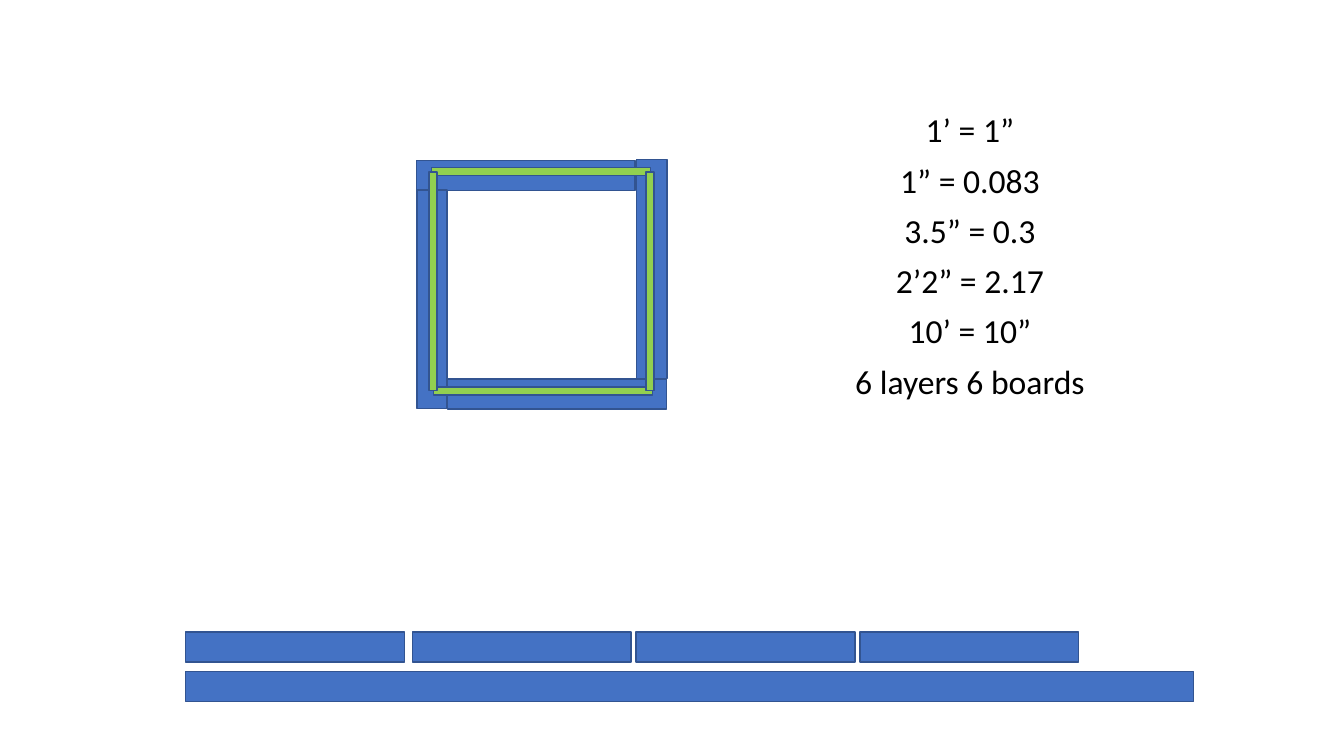
from pptx import Presentation
from pptx.dml.color import RGBColor
from pptx.enum.shapes import MSO_SHAPE
from pptx.enum.text import PP_ALIGN
from pptx.util import Inches, Pt

RECTANGLE = MSO_SHAPE.RECTANGLE
CENTER = PP_ALIGN.CENTER
COLORS = {"board": "4472C4", "strip": "92D050", "edge": "325491", "text": "000000"}

# Drawing scale: one foot of timber is one inch on the slide
CUT_LENGTH = 2.17
FULL_LENGTH = 10
THICKNESS = {"board": 0.3, "strip": 0.08}
STOCK_LEFT, CUT_TOP, FULL_TOP = 1.84, 6.27, 6.66

prs = Presentation()
prs.slide_width, prs.slide_height = Inches(13.33), Inches(7.5)
slide = prs.slides.add_slide(prs.slide_layouts[6])


def add_timber(kind, left, top, length=CUT_LENGTH, rotation=0):
    timber = slide.shapes.add_shape(
        RECTANGLE, Inches(left), Inches(top), Inches(length), Inches(THICKNESS[kind]))
    timber.rotation = rotation
    timber.shadow.inherit = False
    timber.fill.solid()
    timber.fill.fore_color.rgb = RGBColor.from_string(COLORS[kind])
    timber.line.color.rgb = RGBColor.from_string(COLORS["edge"])
    timber.line.width = Pt(1)


# Conversion notes
notes = slide.shapes.add_textbox(Inches(7.89), Inches(1.08), Inches(3.46), Inches(3.19)).text_frame
notes.word_wrap = True
notes.text = "\n".join(
    ["1’ = 1”", "1” = 0.083", "3.5” = 0.3", "2’2” = 2.17", "10’ = 10”", "6 layers 6 boards"])
note_format = {"alignment": CENTER, "line_spacing": 0.9, "space_before": Pt(10)}
font_format = {"name": "Calibri", "size": Pt(24)}
for note in notes.paragraphs:
    for attribute, value in note_format.items():
        setattr(note, attribute, value)
    for attribute, value in font_format.items():
        setattr(note.font, attribute, value)
    note.font.color.rgb = RGBColor.from_string(COLORS["text"])
notes.paragraphs[0].space_before = Pt(0)

# Square frame: boards first, then the strips on top of them
frame = [
    ("board", 4.13, 1.59, 0),
    ("board", 4.44, 3.76, 0),
    ("board", 3.2, 2.82, 90),
    ("board", 5.38, 2.52, 90),
    ("strip", 4.28, 1.66, 0),
    ("strip", 4.3, 3.84, 0),
    ("strip", 5.36, 2.75, 90),
    ("strip", 3.21, 2.75, 90),
]
for kind, left, top, rotation in frame:
    add_timber(kind, left, top, rotation=rotation)

# Full board and the four lengths cut from it
add_timber("board", STOCK_LEFT, FULL_TOP, FULL_LENGTH)
for cut_left in (STOCK_LEFT, 4.09, 6.31, 8.53):
    add_timber("board", cut_left, CUT_TOP)

prs.save("out.pptx")
